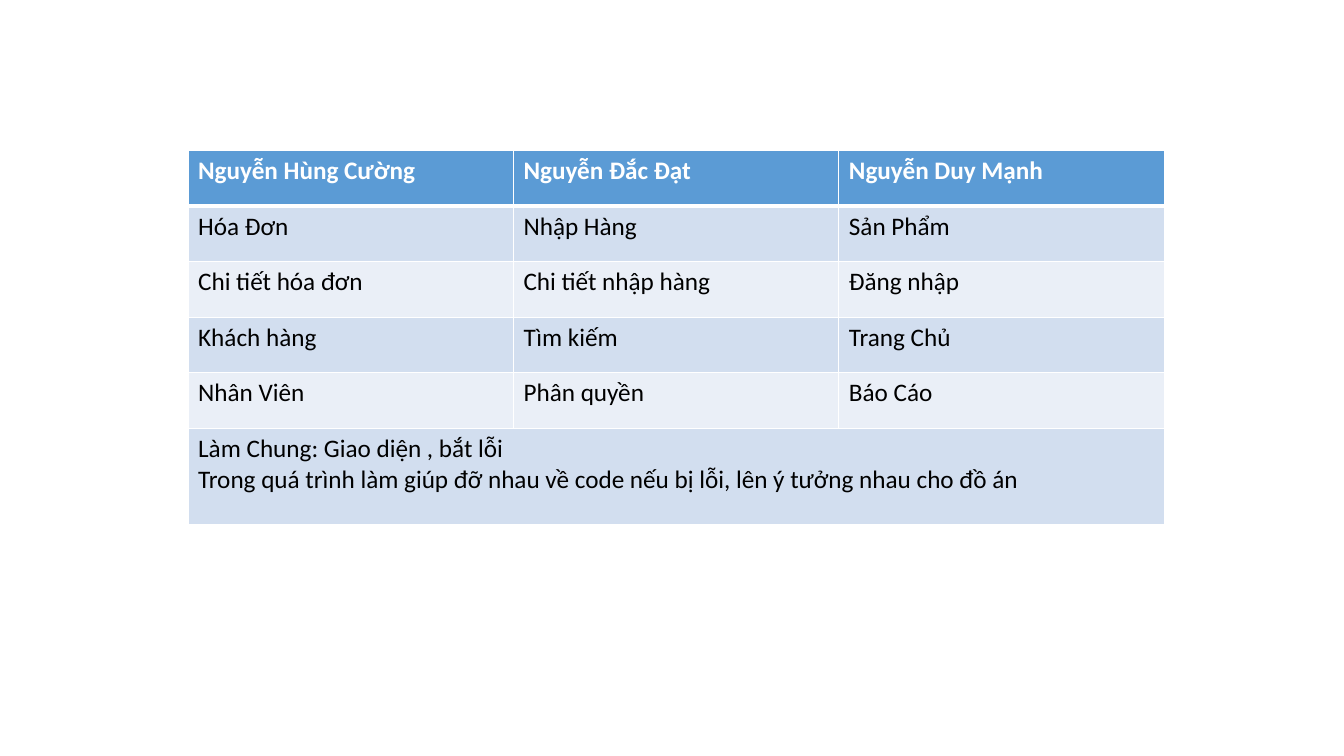
from lxml import etree
from pptx import Presentation
from pptx import util as u
from pptx.dml.color import RGBColor
from pptx.oxml import ns

WHITE, BLACK = "FFFFFF", "000000"
HEADER_FILL = "5B9BD5"
BAND_FILLS = ("D2DEEF", "EAEFF7")

MEMBERS = ("Nguyễn Hùng Cường", "Nguyễn Đắc Đạt", "Nguyễn Duy Mạnh")
TASKS = (
    ("Hóa Đơn", "Nhập Hàng", "Sản Phẩm"),
    ("Chi tiết hóa đơn", "Chi tiết nhập hàng", "Đăng nhập"),
    ("Khách hàng", "Tìm kiếm", "Trang Chủ"),
    ("Nhân Viên", "Phân quyền", "Báo Cáo"),
)
SHARED_WORK = (
    "Làm Chung: Giao diện , bắt lỗi\n"
    "Trong quá trình làm giúp đỡ nhau về code nếu bị lỗi, lên ý tưởng nhau cho đồ án"
)


def color(value):
    return RGBColor.from_string(value)


def set_borders(cell, widths):
    properties = cell._tc.get_or_add_tcPr()
    for side, width in widths.items():
        line = etree.SubElement(properties, ns.qn(f"a:ln{side}"), w=str(u.Pt(width)))
        fill = etree.SubElement(line, ns.qn("a:solidFill"))
        etree.SubElement(fill, ns.qn("a:srgbClr"), val=WHITE)


def format_cell(cell, row_index):
    is_header = row_index == 0
    set_borders(cell, {"L": 1, "R": 1, "T": 3 if row_index == 1 else 1, "B": 3 if is_header else 1})
    cell.fill.solid()
    cell.fill.fore_color.rgb = color(HEADER_FILL if is_header else BAND_FILLS[(row_index - 1) % 2])
    for paragraph in cell.text_frame.paragraphs:
        font = paragraph.font
        font.name = "Calibri"
        font.size = u.Pt(18)
        font.bold = is_header
        font.color.rgb = color(WHITE if is_header else BLACK)


def add_task_table(slide, left, top, width, height):
    rows = (MEMBERS, *TASKS, (SHARED_WORK,))
    table = slide.shapes.add_table(len(rows), len(MEMBERS), left, top, width, height).table
    for column in table.columns:
        column.width = int(width / len(MEMBERS))
    row_height = u.Cm(1.4)
    for row in table.rows:
        row.height = row_height
    last = len(rows) - 1
    table.rows[last].height = height - last * row_height
    table.cell(last, 0).merge(table.cell(last, len(MEMBERS) - 1))

    for row_index, row in enumerate(rows):
        for column_index, label in enumerate(row):
            table.cell(row_index, column_index).text = label
        for cell in table.rows[row_index].cells:
            format_cell(cell, row_index)


def main():
    presentation = Presentation()
    presentation.slide_width = u.Cm(33.87)
    presentation.slide_height = u.Cm(19.05)
    slide = presentation.slides.add_slide(presentation.slide_layouts[6])
    add_task_table(slide, u.Cm(4.74), u.Cm(3.8), u.Cm(24.6), u.Cm(9.42))
    presentation.save("out.pptx")


if __name__ == "__main__":
    main()
